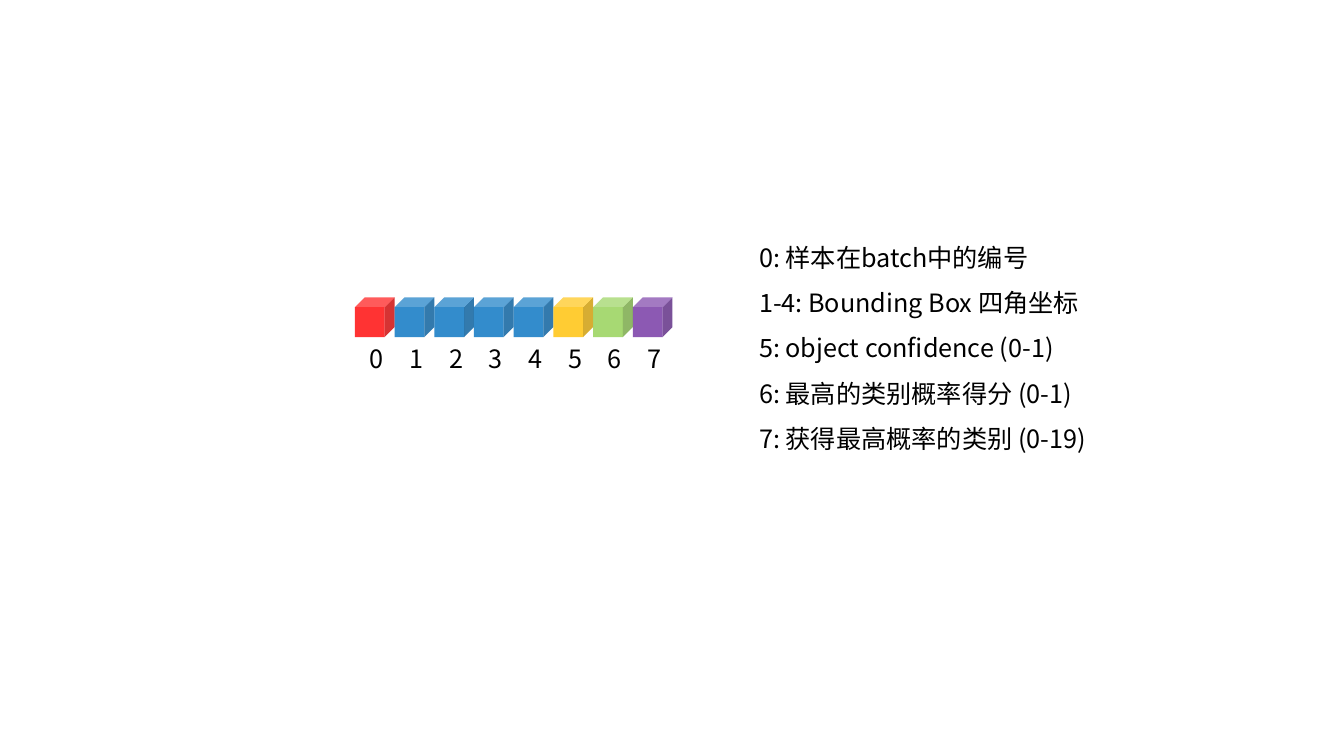
"""Builds a slide explaining the eight fields of a detection output row."""
from dataclasses import dataclass

from lxml.etree import SubElement
from pptx import Presentation
from pptx.dml.color import RGBColor
from pptx.enum.shapes import MSO_SHAPE as Preset
from pptx.enum.text import MSO_AUTO_SIZE as AutoSize, PP_ALIGN as Align
from pptx.oxml.ns import qn
from pptx.util import Inches, Pt


@dataclass(frozen=True)
class Theme:
    font: str = "Noto Sans CJK SC"
    size: float = 18
    label_spacing: float = 21.6
    legend_spacing: float = 32.4
    opacity: int = 80
    ink: str = "000000"
    sample: str = "FF0000"
    corner: str = "0070C0"
    confidence: str = "FFC000"
    score: str = "92D050"
    category: str = "7030A0"


class Canvas:
    def __init__(self, slide, theme):
        self.slide = slide
        self.theme = theme

    def group(self):
        return self.slide.shapes.add_group_shape()

    def cube(self, parent, left, top, side, colour):
        cube = parent.shapes.add_shape(
            Preset.CUBE, Inches(left), Inches(top), Inches(side), Inches(side))
        cube.shadow.inherit = False
        cube.line.fill.background()
        cube.fill.solid()
        cube.fill.fore_color.rgb = RGBColor.from_string(colour)
        tint = cube.fill._xPr.find(qn("a:solidFill"))[0]
        SubElement(tint, qn("a:alpha"), val=str(self.theme.opacity * 1000))

    def text(self, parent, left, top, width, height, words, spacing, align=Align.LEFT):
        box = parent.shapes.add_textbox(
            Inches(left), Inches(top), Inches(width), Inches(height))
        frame = box.text_frame
        frame.word_wrap = True
        frame.auto_size = AutoSize.SHAPE_TO_FIT_TEXT
        frame.text = words
        for paragraph in frame.paragraphs:
            paragraph.alignment = align
            paragraph.line_spacing = Pt(spacing)
            for run in paragraph.runs:
                run.font.name = self.theme.font
                run.font.size = Pt(self.theme.size)
                run.font.color.rgb = RGBColor.from_string(self.theme.ink)
                east_asian = SubElement(run.font._element, qn("a:ea"))
                east_asian.set("typeface", self.theme.font)


ROW_LEFT, ROW_TOP, ROW_WIDTH = 3.52, 2.95, 3.15
LABEL_SHIFT, LABEL_TOP, LABEL_HEIGHT = 0.02, 3.36, 0.4
MEANINGS = [
    "0: 样本在batch中的编号",
    "1-4: Bounding Box 四角坐标",
    "5: object confidence (0-1)",
    "6: 最高的类别概率得分 (0-1)",
    "7: 获得最高概率的类别 (0-19)",
]

deck = Presentation()
deck.slide_width, deck.slide_height = Inches(13.33), Inches(7.5)
theme = Theme()
canvas = Canvas(deck.slides.add_slide(deck.slide_layouts[6]), theme)

field_colours = [theme.sample, *[theme.corner] * 4,
                 theme.confidence, theme.score, theme.category]
side = ROW_WIDTH / len(field_colours)
fields = canvas.group()
for index, colour in enumerate(field_colours):
    left = ROW_LEFT + index * side
    canvas.cube(fields, left, ROW_TOP, side, colour)
    canvas.text(fields, left + LABEL_SHIFT, LABEL_TOP, side, LABEL_HEIGHT,
                str(index), theme.label_spacing, Align.CENTER)

canvas.text(canvas.slide, 7.43, 2.2, 4.19, 2.33, "\n".join(MEANINGS),
            theme.legend_spacing)

deck.save("out.pptx")
